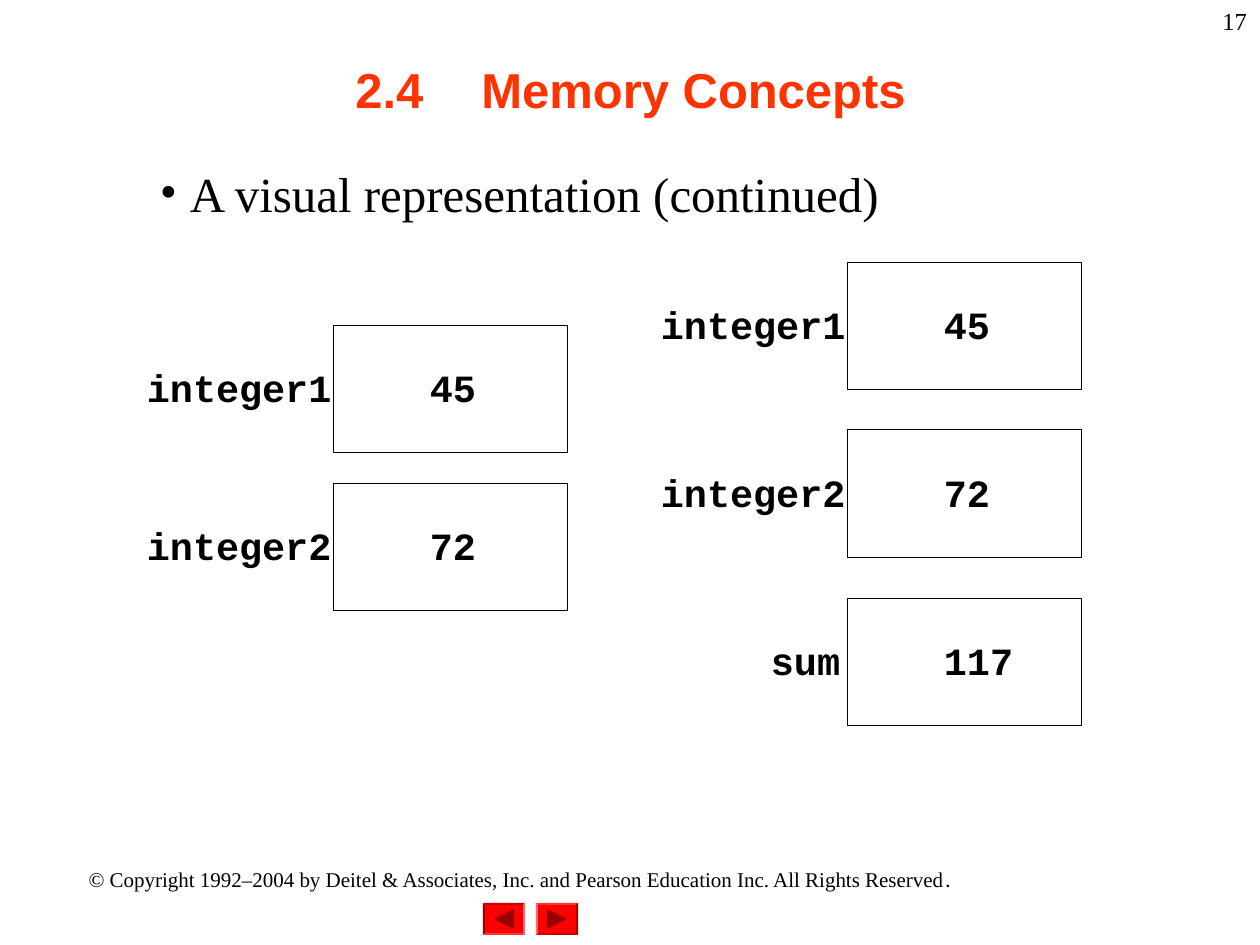
from pptx import Presentation
from pptx.dml.color import RGBColor
from pptx.enum.shapes import MSO_SHAPE
from pptx.enum.text import MSO_ANCHOR, MSO_AUTO_SIZE, PP_ALIGN
from pptx.oxml.ns import qn
from pptx.util import Pt
from lxml.etree import SubElement

# Content
TITLE = "2.4\tMemory Concepts"
POINT = "A visual representation (continued)"
NOTICE = ("© Copyright 1992–2004 by Deitel & Associates, Inc. and Pearson "
          "Education Inc. All Rights Reserved")
PAGE = "17"
# Stacks: left, top, step, cells of (name, value, gap from name to box)
STACKS = [
    (333, 325, 158, [("integer1", "45", 2), ("integer2", "72", 2)]),
    (847, 262, 168, [("integer1", "45", 2), ("integer2", "72", 2),
                     ("sum", "117", 7)]),
]
BUTTONS = [(536, 0), (483, 180)]  # left, turn

# Formats
HEAD = dict(name="Arial", size=Pt(28), bold=True, color="FF3300")
BODY = dict(name="Times New Roman", size=Pt(28), color="000000")
SMALL = dict(BODY, size=Pt(12))
DOT = dict(SMALL, name="League Spartan")
FOLIO = dict(BODY, size=Pt(14))
CODE = dict(name="Courier New", size=Pt(22), bold=True, color="000000")

INCH = 126
CELL_W, CELL_H = 235, 128
CHAR = 23  # width of one code character
LINE = 46  # height of one code line
SLACK = 4  # spare width, so that code stays on one line


def px(n):
    return round(n * 914400 / INCH)


def rgb(code):
    return RGBColor.from_string(code)


def style(font, form):
    for key, val in form.items():
        if key == "color":
            font.color.rgb = rgb(val)
        else:
            setattr(font, key, val)


def write(para, text, form):
    run = para.add_run()
    run.text = text
    style(run.font, form)


def label(shapes, area, text, form, align=PP_ALIGN.LEFT, pad=(13, 6)):
    box = shapes.add_textbox(*map(px, area))
    frame = box.text_frame
    frame.word_wrap = True
    frame.margin_left = frame.margin_right = px(pad[0])
    frame.margin_top = frame.margin_bottom = px(pad[1])
    para = frame.paragraphs[0]
    para.alignment = align
    write(para, text, form)
    return para


def code(shapes, left, top, text):
    area = (left, top, CHAR * len(text) + SLACK, LINE)
    label(shapes, area, text, CODE, pad=(0, 0))


def block(shapes, kind, area, fill):
    shape = shapes.add_shape(kind, *map(px, area))
    shape.shadow.inherit = False
    shape.fill.solid()
    shape.fill.fore_color.rgb = rgb(fill)
    shape.line.fill.background()
    return shape


deck = Presentation()
deck.slide_width, deck.slide_height = px(10 * INCH), px(7.5 * INCH)
slide = deck.slides.add_slide(deck.slide_layouts[5])
shapes = slide.shapes

# Title, with a tab stop after the section number
title = shapes.title
title.left, title.top, title.width, title.height = map(px, (95, 10, 1071, 158))
frame = title.text_frame
frame.vertical_anchor = MSO_ANCHOR.MIDDLE
frame.auto_size = MSO_AUTO_SIZE.NONE
para = frame.paragraphs[0]
para.alignment = PP_ALIGN.CENTER
stops = SubElement(para._p.get_or_add_pPr(), qn("a:tabLst"))
SubElement(stops, qn("a:tab"), pos=str(px(INCH)), algn="l")
write(para, TITLE, HEAD)

# Bullet point
para = label(shapes, (147, 157, 924, 72), POINT, BODY)
props = para._p.get_or_add_pPr()
props.set("marL", str(px(30)))
props.set("indent", str(px(-30)))
SubElement(props, qn("a:buFont"), typeface=BODY["name"])
SubElement(props, qn("a:buChar"), char="•")
style(para.font, BODY)

# Memory cells
for left, start, step, cells in STACKS:
    for row, (name, value, gap) in enumerate(cells):
        top = start + row * step
        group = shapes.add_group_shape().shapes
        cell = block(group, MSO_SHAPE.RECTANGLE,
                     (left, top, CELL_W, CELL_H), "FFFFFF")
        cell.line.color.rgb = rgb("000000")
        cell.line.width = Pt(0.5)
        code(group, left - gap - CHAR * len(name), top + 39, name)
        code(group, left + 97, top + 39, value)

# Page number and copyright line
label(shapes, (998, 0, 262, 63), PAGE, FOLIO, PP_ALIGN.RIGHT)
para = label(shapes, (63, 861, 914, 38), NOTICE, SMALL, PP_ALIGN.CENTER)
write(para, ".", DOT)

# Navigation buttons: a bevelled face with an arrow
for left, turn in BUTTONS:
    face = block(shapes, MSO_SHAPE.BEVEL, (left, 903, 42, 32), "FF0000")
    face.adjustments[0] = 0.06
    face.rotation = turn
    arrow = block(shapes, MSO_SHAPE.ISOSCELES_TRIANGLE,
                  (left + 11, 909, 20, 20), "990000")
    arrow.rotation = 90 + turn

deck.save("out.pptx")
